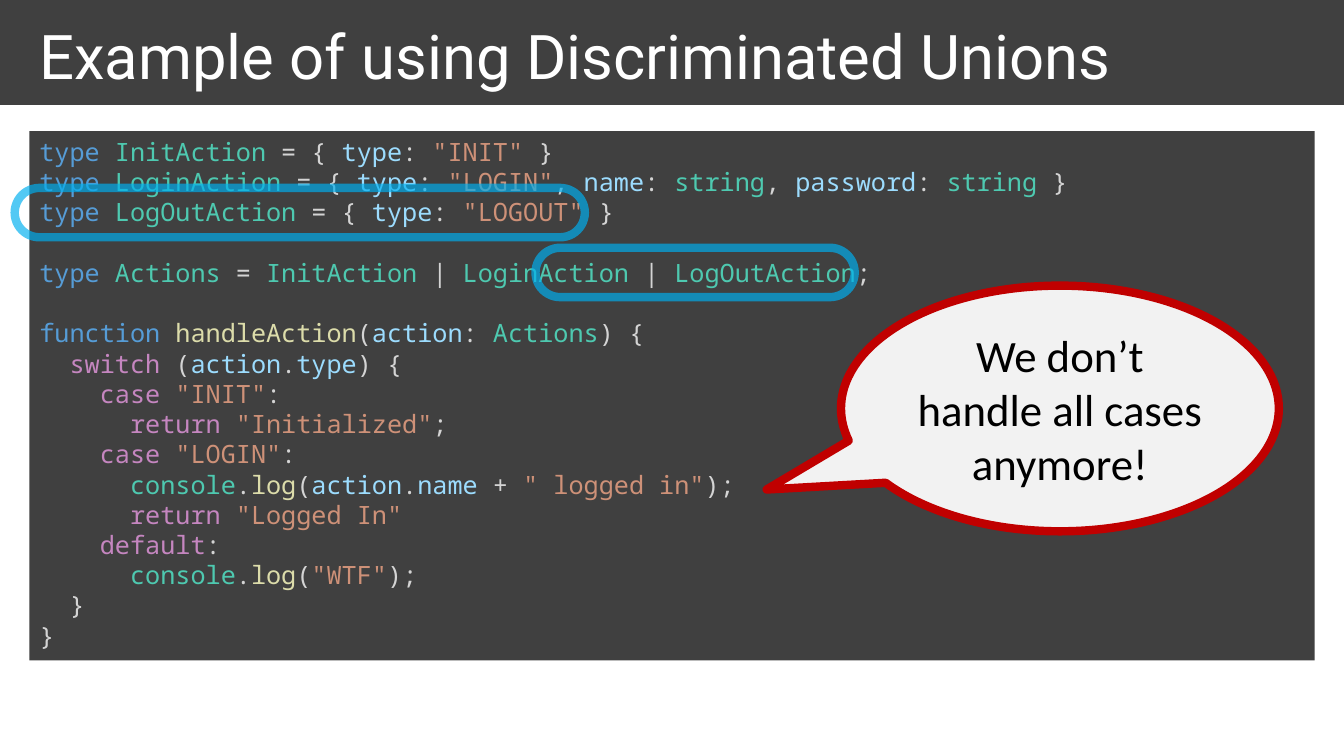
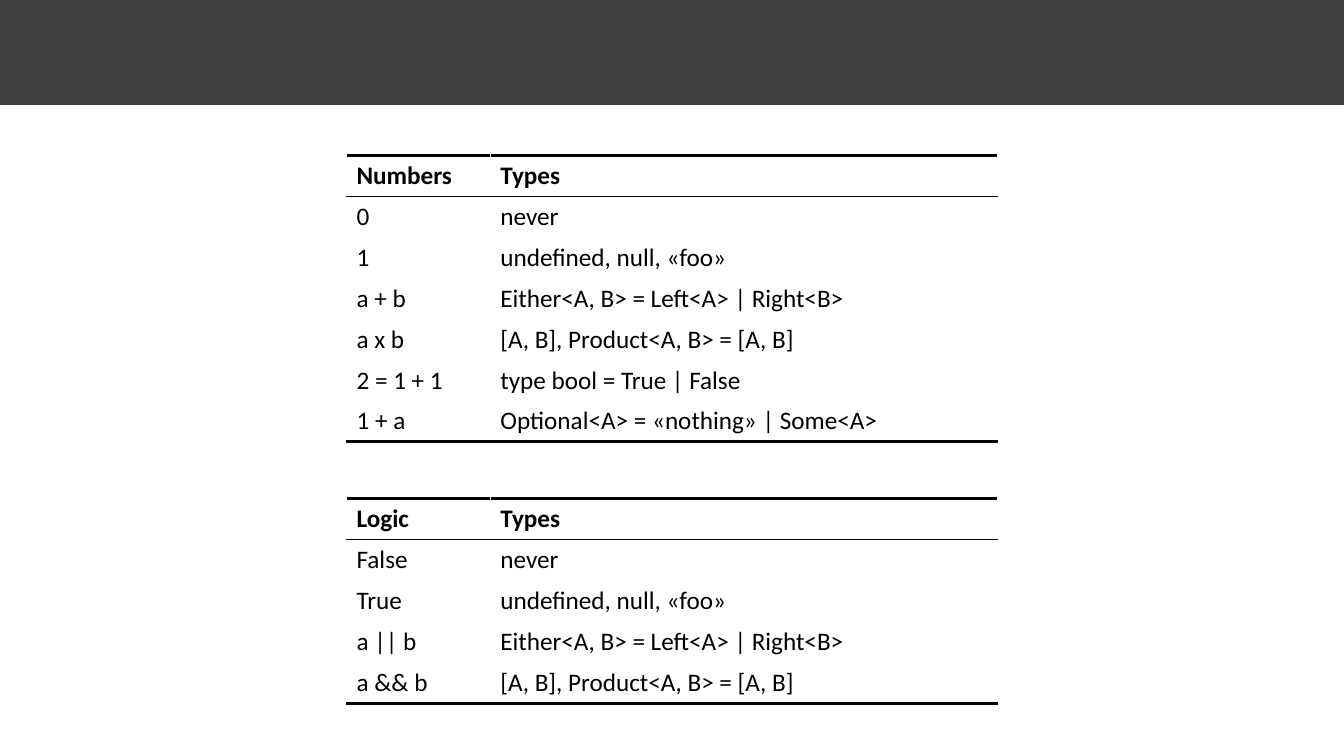
import lxml.etree
import pptx
import pptx.dml.color
import pptx.enum.shapes
import pptx.enum.text
import pptx.oxml.ns
import pptx.util

SCALE = 9525  # EMU in one px
WIDE, HIGH = 1280, 720
SHAPE = pptx.enum.shapes.MSO_SHAPE
ALIGN = pptx.enum.text.PP_ALIGN
ANCHOR = pptx.enum.text.MSO_ANCHOR
Pt = pptx.util.Pt
qn = pptx.oxml.ns.qn

HUES = {
    "band": "404040", "white": "FFFFFF", "black": "000000",
    "bubble": "F2F2F2", "alert": "C00000", "ring": "00B0F0",
    # code tokens
    "key": "569CD6", "type": "4EC9B0", "mark": "D4D4D4", "name": "9CDCFE",
    "text": "CE9178", "call": "DCDCAA", "flow": "C586C0",
}
HEAD, CODE, BODY = "Roboto", "Noto Sans Mono", "Calibri"
STEP = 21.6  # code line pitch, and the width of two code letters, in points

# Each line: indent level, then (kind, text) runs; None leaves a gap
LINES = [
    (0, ("key", "type "), ("type", "InitAction"), ("mark", " = { "),
     ("name", "type"), ("mark", ": "), ("text", '"INIT"'), ("mark", " }")),
    (0, ("key", "type "), ("type", "LoginAction"), ("mark", " = { "),
     ("name", "type"), ("mark", ": "), ("text", '"LOGIN"'), ("mark", ", "),
     ("name", "name"), ("mark", ": "), ("type", "string"), ("mark", ", "),
     ("name", "password"), ("mark", ": "), ("type", "string"), ("mark", " }")),
    (0, ("key", "type "), ("type", "LogOutAction"), ("mark", " = { "),
     ("name", "type"), ("mark", ": "), ("text", '"LOGOUT"'), ("mark", " }")),
    None,
    (0, ("key", "type "), ("type", "Actions"), ("mark", " = "),
     ("type", "InitAction"), ("mark", " | "), ("type", "LoginAction"),
     ("mark", " | "), ("type", "LogOutAction"), ("mark", ";")),
    None,
    (0, ("key", "function "), ("call", "handleAction"), ("mark", "("),
     ("name", "action"), ("mark", ": "), ("type", "Actions"), ("mark", ") {")),
    (1, ("flow", "switch"), ("mark", " ("), ("name", "action"), ("mark", "."),
     ("name", "type"), ("mark", ") {")),
    (2, ("flow", "case "), ("text", '"INIT"'), ("mark", ":")),
    (3, ("flow", "return "), ("text", '"Initialized"'), ("mark", ";")),
    (2, ("flow", "case "), ("text", '"LOGIN"'), ("mark", ":")),
    (3, ("type", "console"), ("mark", "."), ("call", "log"), ("mark", "("),
     ("name", "action"), ("mark", "."), ("name", "name"), ("mark", " + "),
     ("text", '" logged in"'), ("mark", ");")),
    (3, ("flow", "return "), ("text", '"Logged In"')),
    (2, ("flow", "default"), ("mark", ":")),
    (3, ("type", "console"), ("mark", "."), ("call", "log"), ("mark", "("),
     ("text", '"WTF"'), ("mark", ");")),
    (1, ("mark", "}")),
    (0, ("mark", "}")),
]

SUM = "Either<A, B> = Left<A> | Right<B>"
PAIR = "[A, B], Product<A, B> = [A, B]"
UNIT = "undefined, null, «foo»"
MATH = [
    ("Numbers", "Types"),
    ("0", "never"),
    ("1", UNIT),
    ("a + b", SUM),
    ("a x b", PAIR),
    ("2 = 1 + 1", "type bool = True | False"),
    ("1 + a", "Optional<A> = «nothing» | Some<A>"),
]
LOGIC = [
    ("Logic", "Types"),
    ("False", "never"),
    ("True", UNIT),
    ("a || b", SUM),
    ("a && b", PAIR),
]


def px(num):
    return pptx.util.Emu(num * SCALE)


def hue(name):
    return pptx.dml.color.RGBColor.from_string(HUES[name])


def add_run(para, text, font, size, tint, bold=False):
    run = para.add_run()
    run.text = text
    run.font.name = font
    run.font.size = Pt(size)
    run.font.bold = bold
    run.font.color.rgb = hue(tint)


def add_form(slide, kind, box, fill=None, line=None):
    form = slide.shapes.add_shape(kind, *map(px, box))
    form.shadow.inherit = False
    if fill:
        form.fill.solid()
        form.fill.fore_color.rgb = hue(fill)
    else:
        form.fill.background()
    if line:
        form.line.color.rgb = hue(line)
        form.line.width = Pt(6)
    else:
        form.line.fill.background()
    return form


# Top band, with a title if there is one
def add_band(slide, box, title=None):
    x, y, w, h = box
    add_form(slide, SHAPE.RECTANGLE, box, "band")
    if not title:
        return
    frame = slide.shapes.add_textbox(
        px(x + 28), px(y), px(w - 56), px(h + 13)).text_frame
    frame.word_wrap = True
    frame.vertical_anchor = ANCHOR.MIDDLE
    frame.margin_top = frame.margin_bottom = 0
    para = frame.paragraphs[0]
    para.line_spacing = 0.9
    add_run(para, title, HEAD, 44, "white")


# Dark panel of coloured code
def add_code(slide, box, lines):
    frame = add_form(slide, SHAPE.RECTANGLE, box, "band").text_frame
    frame.word_wrap = True
    frame.vertical_anchor = ANCHOR.TOP
    para, gap = frame.paragraphs[0], False
    for spot, line in enumerate(lines):
        if line is None:
            gap = True
            continue
        if spot:
            para = frame.add_paragraph()
        level, *runs = line
        para.alignment = ALIGN.LEFT
        para.line_spacing = Pt(STEP)
        para.space_before = Pt(STEP if gap else 0)
        para._p.get_or_add_pPr().set("marL", str(Pt(STEP * level)))
        for kind, text in runs:
            add_run(para, text, CODE, 18, kind)
        gap = False


# Speech bubble
def add_bubble(slide, box, text):
    form = add_form(slide, SHAPE.OVAL_CALLOUT, box, "bubble", "alert")
    form.adjustments[0], form.adjustments[1] = -0.67, 0.33
    frame = form.text_frame
    frame.word_wrap = True
    frame.vertical_anchor = ANCHOR.MIDDLE
    para = frame.paragraphs[0]
    para.alignment = ALIGN.CENTER
    add_run(para, text, BODY, 32, "black")


# See-through ring round some code
def add_ring(slide, box):
    form = add_form(slide, SHAPE.ROUNDED_RECTANGLE, box, line="ring")
    form.adjustments[0] = 0.5
    tint = form.line._ln.find(".//" + qn("a:srgbClr"))
    lxml.etree.SubElement(tint, qn("a:alpha"), val="67000")


# Cell edges, given as (side, colour, points) in the order L, R, T, B
def add_edges(cell, edges):
    props = cell._tc.get_or_add_tcPr()
    for spot, (side, tint, size) in enumerate(edges):
        line = lxml.etree.Element(qn("a:ln" + side), w=str(Pt(size)))
        fill = lxml.etree.SubElement(line, qn("a:solidFill"))
        lxml.etree.SubElement(fill, qn("a:srgbClr"), val=HUES[tint])
        props.insert(spot, line)


# Table ruled above, below and under its head
def add_grid(slide, box, rows):
    x, y, w, h = box
    grid = slide.shapes.add_table(len(rows), 2, *map(px, box)).table
    grid.first_row = grid.horz_banding = False
    left = 137
    for col, wide in zip(grid.columns, (left, w - left)):
        col.width = px(wide)
    rules = {0: ("black", 2.25), 1: ("black", 1), len(rows): ("black", 2.25)}
    plain = ("white", 1)
    for r, texts in enumerate(rows):
        for c, text in enumerate(texts):
            cell = grid.cell(r, c)
            cell.fill.background()
            add_run(cell.text_frame.paragraphs[0], text, BODY, 18, "black",
                    r == 0)
            add_edges(cell, [("L", *plain), ("R", *plain),
                             ("T", *rules.get(r, plain)),
                             ("B", *rules.get(r + 1, plain))])


def add_slide(deck, title=None):
    slide = deck.slides.add_slide(deck.slide_layouts[6])
    add_band(slide, (0, 0, WIDE, 100), title)
    return slide


# Code slide: the notes on the code are placed from the panel's corner
def code_slide(deck, box):
    x, y, w, h = box
    slide = add_slide(deck, "Example of using Discriminated Unions")
    add_code(slide, box, LINES)
    add_bubble(slide, (x + 773, y + 147, 417, 234),
               "We don’t handle all cases anymore!")
    add_ring(slide, (x - 14, y + 54, 543, 47))
    add_ring(slide, (x + 482, y + 111, 304, 47))


# Table slide: the tables are stacked with a gap
def table_slide(deck, box):
    x, y, w, h = box
    slide = add_slide(deck)
    tall = 39
    gap = h - tall * (len(MATH) + len(LOGIC))
    for rows in (MATH, LOGIC):
        size = tall * len(rows)
        add_grid(slide, (x, y, w, size), rows)
        y += size + gap


def main():
    deck = pptx.Presentation()
    deck.slide_width, deck.slide_height = px(WIDE), px(HIGH)
    code_slide(deck, (28, 125, 1224, 504))
    table_slide(deck, (330, 148, 620, 522))
    deck.save("out.pptx")


if __name__ == "__main__":
    main()
